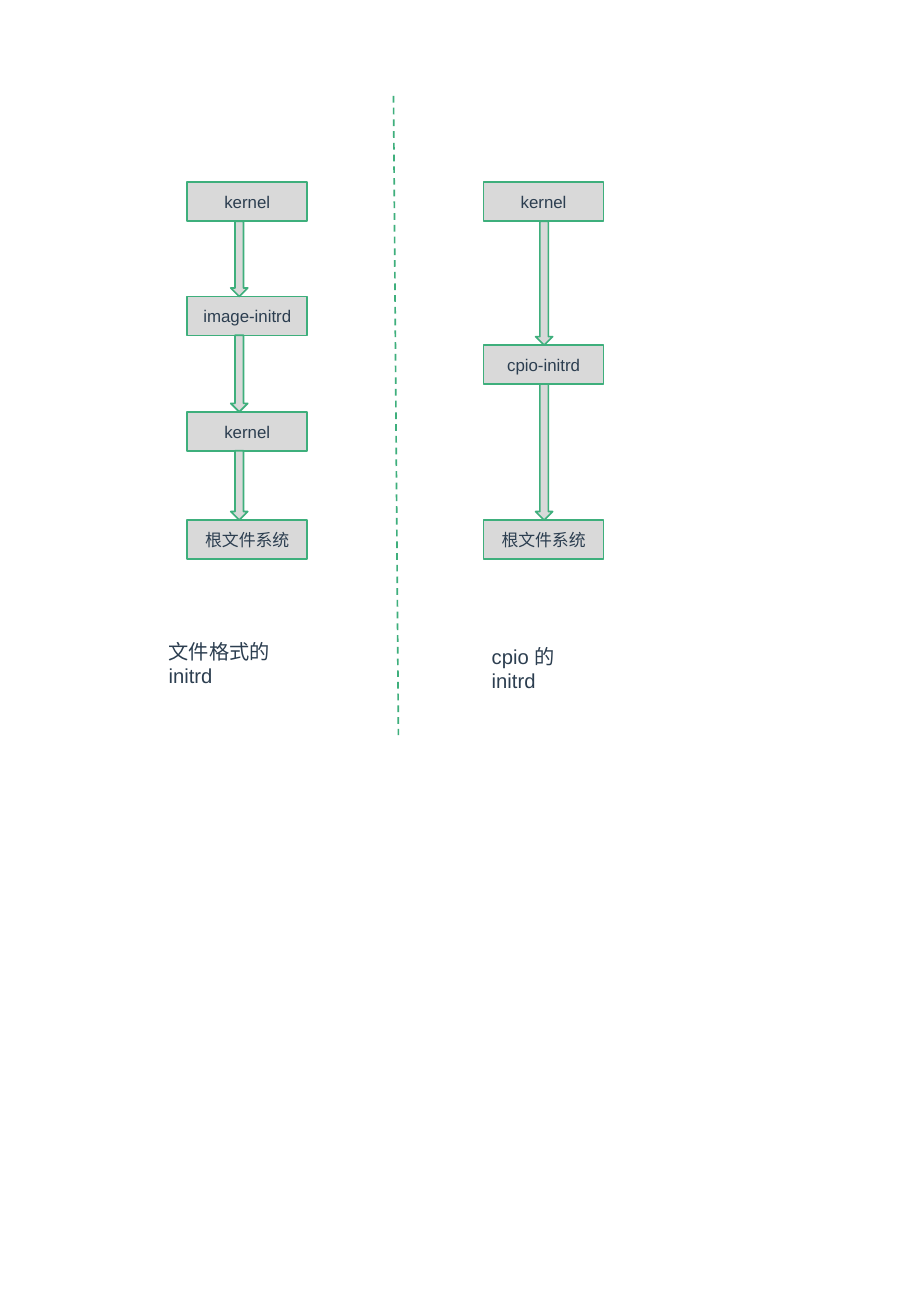
from lxml.etree import SubElement
from pptx import Presentation
from pptx.dml.color import RGBColor
from pptx.enum.dml import MSO_LINE
from pptx.enum.shapes import MSO_CONNECTOR, MSO_SHAPE
from pptx.enum.text import MSO_ANCHOR, PP_ALIGN
from pptx.oxml.ns import qn
from pptx.util import Inches, Pt

GREEN = RGBColor(0x3E, 0xAF, 0x7C)
GREY = RGBColor(0xD9, 0xD9, 0xD9)
NAVY = RGBColor(0x2C, 0x3E, 0x50)
FONT = "Arial"

BOX_WIDTH, BOX_HEIGHT = 0.99, 0.32
ARROW_WIDTH = 0.14

# Each flow: box left, arrow left, and the stages with their tops
FLOWS = [
    (1.54, 1.9, [("kernel", 1.5), ("image-initrd", 2.44),
                 ("kernel", 3.39), ("根文件系统", 4.28)]),
    (3.98, 4.41, [("kernel", 1.5), ("cpio-initrd", 2.84),
                  ("根文件系统", 4.28)]),
]
CAPTIONS = [
    ("文件格式的initrd", 1.29, 5.21, 1.35),
    ("cpio 的initrd", 3.95, 5.25, 1.05),
]


def add_span(para, text, size):
    span = para.add_run()
    span.text = text
    span.font.name = FONT
    span.font.size = Pt(size)
    span.font.color.rgb = NAVY


def add_outlined_shape(page, kind, left, top, width, height):
    shape = page.shapes.add_shape(
        kind, Inches(left), Inches(top), Inches(width), Inches(height))
    shape.shadow.inherit = False
    shape.fill.solid()
    shape.fill.fore_color.rgb = GREY
    shape.line.color.rgb = GREEN
    shape.line.width = Pt(1)
    return shape


def add_stage(page, text, left, top):
    box = add_outlined_shape(
        page, MSO_SHAPE.RECTANGLE, left, top, BOX_WIDTH, BOX_HEIGHT)
    box.text_frame.vertical_anchor = MSO_ANCHOR.MIDDLE
    para = box.text_frame.paragraphs[0]
    para.alignment = PP_ALIGN.CENTER
    add_span(para, text, 10)


def add_flow(page, box_left, arrow_left, stages):
    """Stack the stages and fill each gap between them with a down arrow."""
    for text, top in stages:
        add_stage(page, text, box_left, top)
    for (_, upper), (_, lower) in zip(stages, stages[1:]):
        start = upper + BOX_HEIGHT
        add_outlined_shape(page, MSO_SHAPE.DOWN_ARROW, arrow_left, start,
                           ARROW_WIDTH, lower - start)


def add_caption(page, text, left, top, width):
    box = page.shapes.add_textbox(
        Inches(left), Inches(top), Inches(width), Inches(0.3))
    box.text_frame.word_wrap = True
    add_span(box.text_frame.paragraphs[0], text, 12)


def add_divider(page):
    divider = page.shapes.add_connector(
        MSO_CONNECTOR.STRAIGHT,
        Inches(3.24), Inches(0.79), Inches(3.28), Inches(6.05))
    divider.line.color.rgb = GREEN
    divider.line.width = Pt(1)
    divider.line.dash_style = MSO_LINE.DASH
    SubElement(divider.element.spPr, qn("a:effectLst"))


def main():
    deck = Presentation()
    deck.slide_width, deck.slide_height = Inches(7.5), Inches(10.83)
    page = deck.slides.add_slide(deck.slide_layouts[6])
    for flow in FLOWS:
        add_flow(page, *flow)
    for caption in CAPTIONS:
        add_caption(page, *caption)
    add_divider(page)
    deck.save("out.pptx")


if __name__ == "__main__":
    main()
